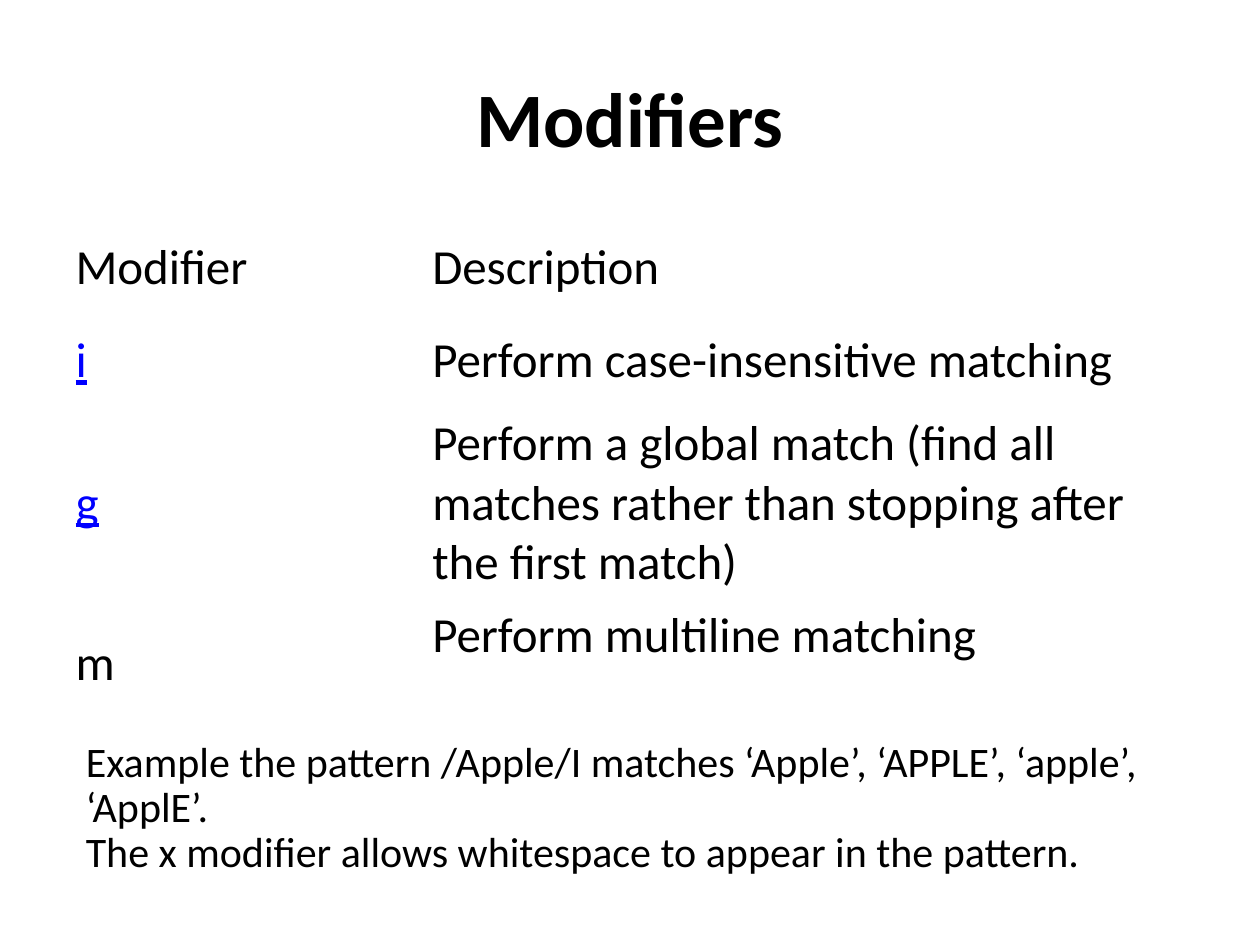
from dataclasses import dataclass

from pptx import Presentation
from pptx.dml.color import RGBColor
from pptx.enum.text import MSO_ANCHOR as Anchor, MSO_AUTO_SIZE as AutoSize, PP_ALIGN as Align
from pptx.util import Cm, Pt

COLORS = {"text": "000000", "link": "0000FF"}
FONT = "Calibri"


@dataclass(frozen=True)
class ModifierRow:
    modifier: str
    description: str
    height: float = 1.88
    linked: bool = False
    description_anchor: Anchor = Anchor.MIDDLE


MODIFIERS = [
    ModifierRow("Modifier", "Description"),
    ModifierRow("i", "Perform case-insensitive matching", linked=True),
    ModifierRow(
        "g",
        "Perform a global match (find all matches rather than stopping after the first match)",
        height=3.86,
        linked=True,
    ),
    ModifierRow("m", "Perform multiline matching", height=2.57, description_anchor=Anchor.TOP),
]
COLUMN_WIDTHS = (7.19, 15.67)
EXAMPLES = [
    "Example the pattern /Apple/I matches ‘Apple’, ‘APPLE’, ‘apple’, ‘ApplE’.",
    "The x modifier allows whitespace to appear in the pattern.",
]


def add_text(paragraph, text: str, size: float, bold: bool = False, linked: bool = False) -> None:
    run = paragraph.add_run()
    run.text = text
    font = run.font
    font.name = FONT
    font.size = Pt(size)
    font.bold = bold
    font.underline = linked
    font.color.rgb = RGBColor.from_string(COLORS["link" if linked else "text"])


def add_heading(slide, text: str) -> None:
    heading = slide.shapes.title
    heading.left, heading.top = Cm(1.27), Cm(0.76)
    heading.width, heading.height = Cm(22.86), Cm(3.18)
    heading.text_frame.vertical_anchor = Anchor.MIDDLE
    paragraph = heading.text_frame.paragraphs[0]
    paragraph.alignment = Align.CENTER
    add_text(paragraph, text, 44, bold=True)


def fill_cell(cell, text: str, anchor: Anchor, linked: bool = False) -> None:
    cell.fill.background()
    cell.vertical_anchor = anchor
    add_text(cell.text_frame.paragraphs[0], text, 28, linked=linked)


def add_modifier_table(slide, modifiers: list[ModifierRow]) -> None:
    table = slide.shapes.add_table(
        len(modifiers), len(COLUMN_WIDTHS), Cm(1.27), Cm(4.45),
        Cm(sum(COLUMN_WIDTHS)), Cm(sum(row.height for row in modifiers)),
    ).table
    table.first_row = table.horz_banding = False
    for column, width in zip(table.columns, COLUMN_WIDTHS):
        column.width = Cm(width)
    for index, row in enumerate(modifiers):
        table.rows[index].height = Cm(row.height)
        fill_cell(table.cell(index, 0), row.modifier, Anchor.MIDDLE, row.linked)
        fill_cell(table.cell(index, 1), row.description, row.description_anchor)


def add_examples(slide, examples: list[str]) -> None:
    frame = slide.shapes.add_textbox(Cm(1.48), Cm(14.81), Cm(22.23), Cm(3.78)).text_frame
    frame.word_wrap = True
    frame.auto_size = AutoSize.SHAPE_TO_FIT_TEXT
    for index, example in enumerate(examples):
        paragraph = frame.add_paragraph() if index else frame.paragraphs[0]
        paragraph.line_spacing = 0.9
        add_text(paragraph, example, 24)


def main() -> None:
    deck = Presentation()
    deck.slide_width, deck.slide_height = Cm(25.4), Cm(19.05)
    slide = deck.slides.add_slide(deck.slide_layouts[5])
    add_heading(slide, "Modifiers")
    add_modifier_table(slide, MODIFIERS)
    add_examples(slide, EXAMPLES)
    deck.save("out.pptx")


if __name__ == "__main__":
    main()
